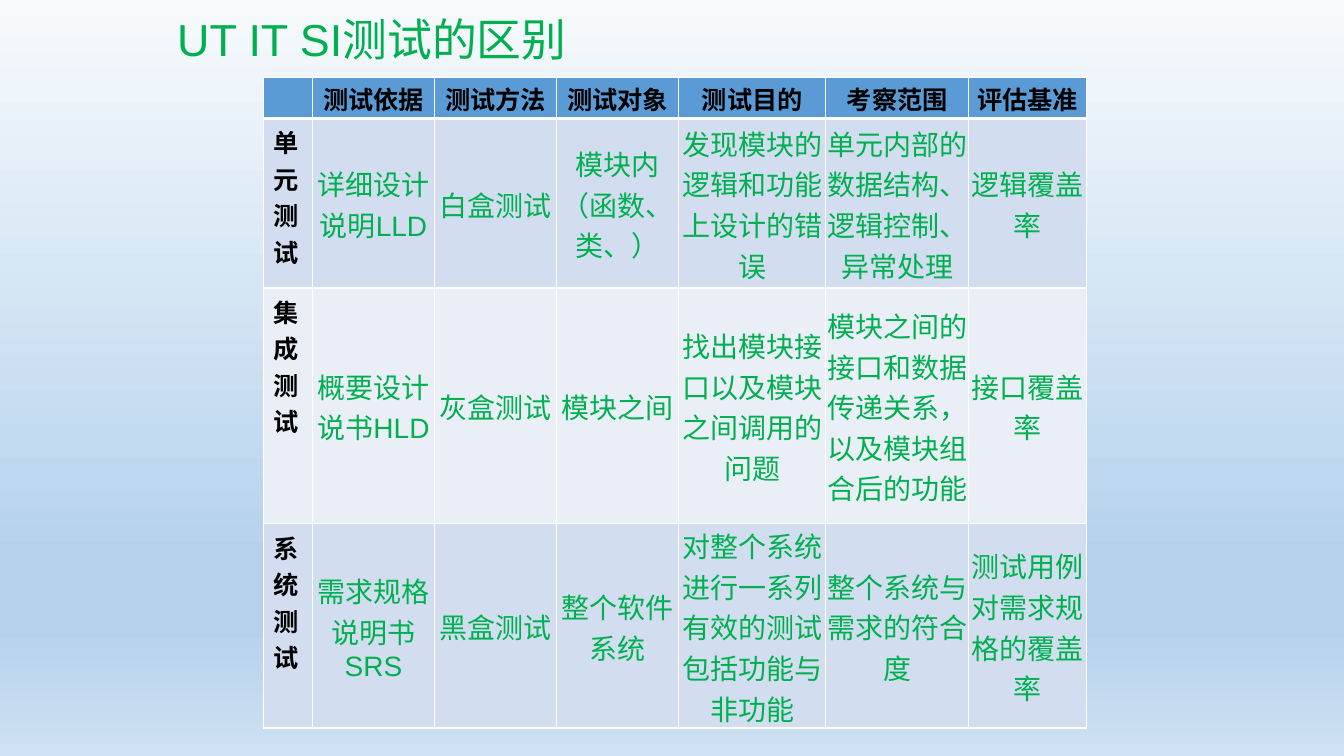
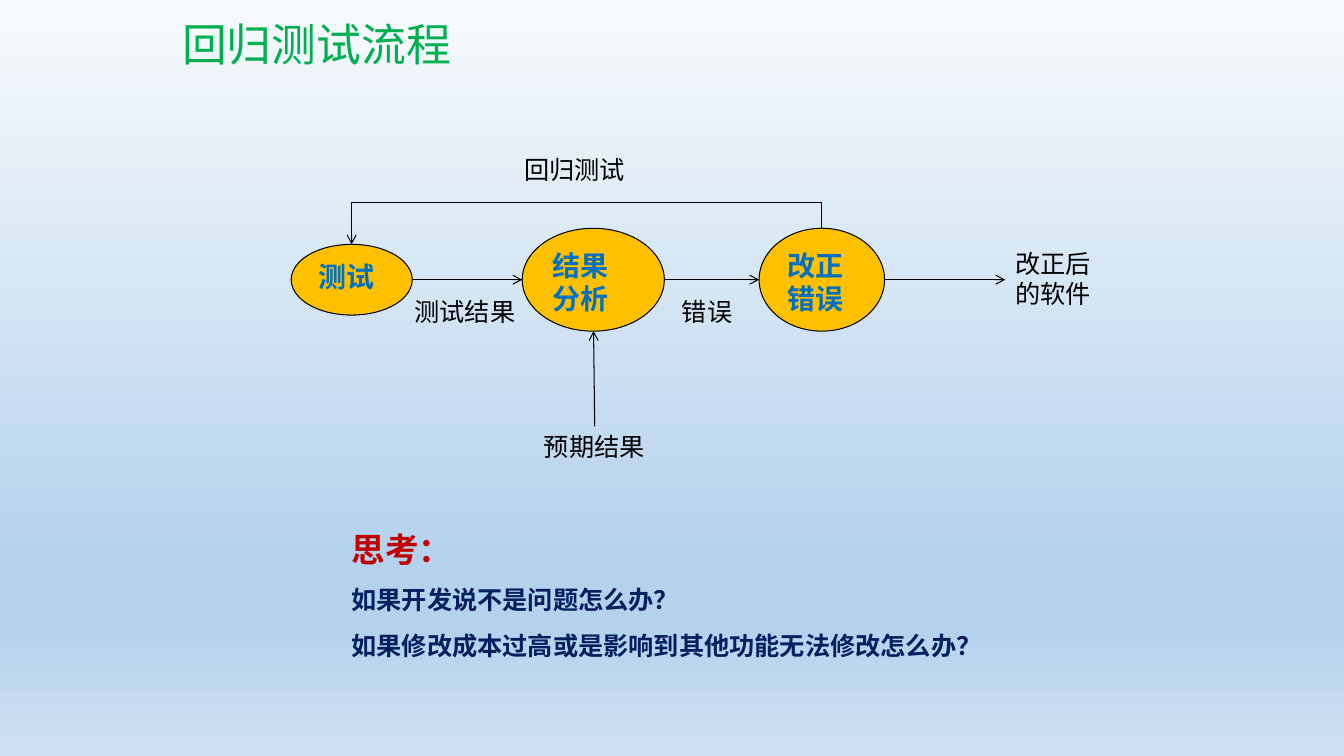
import dataclasses

import lxml.etree
import pptx
import pptx.dml.color
import pptx.enum.lang
import pptx.enum.shapes
import pptx.enum.text
import pptx.oxml.ns
import pptx.util

Pt = pptx.util.Pt
qn = pptx.oxml.ns.qn
SubElement = lxml.etree.SubElement

COLORS = {
    "green": "00B050",
    "black": "000000",
    "white": "FFFFFF",
    "blue": "0070C0",
    "navy": "002060",
    "red": "C00000",
    "amber": "FFC000",
    "header": "5B9BD5",
    "band_dark": "D2DEEF",
    "band_light": "EAEFF7",
    "sky_top": "F7FAFD",
    "sky_middle": "B5D2EC",
    "sky_bottom": "CEE1F2",
}
SKY_STOPS = [(0, "sky_top"), (74, "sky_middle"), (83, "sky_middle"), (100, "sky_bottom")]
CJK = "Noto Sans CJK SC"


@dataclasses.dataclass
class Style:
    """Look of a text span; asian is the typeface of its Chinese characters."""

    size: float
    color: str
    latin: str = "Calibri"
    asian: str = "Calibri"
    bold: bool = False


TITLE = Style(32, "green", CJK, CJK)
TITLE_LATIN = Style(32, "green", "Arial", CJK)
HEADER = Style(18, "black", CJK, CJK, True)
ROW_LABEL = Style(18, "black", "Calibri", CJK, True)
BODY = Style(20, "green", CJK, CJK)
BODY_LATIN = Style(20, "green", "Arial", CJK)
NODE = Style(20, "blue", bold=True)
LABEL = Style(18, "black")
THINK = Style(24, "red", bold=True)
QUESTION = Style(18, "navy", bold=True)

COLUMN_WIDTHS = [35.2, 87.2, 87.2, 87.2, 105.1, 102.2, 84.2]
ROW_HEIGHTS = [28.8, 121, 168.5, 121]
TABLE_ROWS = [
    ["", "测试依据", "测试方法", "测试对象", "测试目的", "考察范围", "评估基准"],
    ["单元测试", ("详细设计说明", "LLD"), "白盒测试", "模块内（函数、类、）",
     "发现模块的逻辑和功能上设计的错误",
     "单元内部的数据结构、逻辑控制、异常处理", "逻辑覆盖率"],
    ["集成测试", ("概要设计说书", "HLD"), "灰盒测试", "模块之间",
     "找出模块接口以及模块之间调用的问题",
     "模块之间的接口和数据传递关系，以及模块组合后的功能", "接口覆盖率"],
    ["系统测试", ("需求规格说明书", "SRS"), "黑盒测试", "整个软件系统",
     "对整个系统进行一系列有效的测试包括功能与非功能",
     "整个系统与需求的符合度", "测试用例对需求规格的覆盖率"],
]


def rgb(name):
    """Return the named colour."""
    return pptx.dml.color.RGBColor.from_string(COLORS[name])


def add_span(para, text, style):
    """Append a formatted run to a paragraph."""
    span = para.add_run()
    span.text = text
    font = span.font
    font.size, font.bold, font.name = Pt(style.size), style.bold, style.latin
    font.color.rgb = rgb(style.color)
    font.language_id = pptx.enum.lang.MSO_LANGUAGE_ID.SIMPLIFIED_CHINESE
    SubElement(span.font._element, qn("a:ea"), typeface=style.asian)


def add_text(page, left, top, width, height, paragraphs, wrap=False, spacing=None):
    """Add a text box; each paragraph is a list of (text, style) spans."""
    box = page.shapes.add_textbox(Pt(left), Pt(top), Pt(width), Pt(height))
    frame = box.text_frame
    frame.word_wrap = wrap
    frame.auto_size = pptx.enum.text.MSO_AUTO_SIZE.SHAPE_TO_FIT_TEXT
    for index, spans in enumerate(paragraphs):
        para = frame.add_paragraph() if index else frame.paragraphs[0]
        para.line_spacing = spacing
        for text, style in spans:
            add_span(para, text, style)


def add_title(page, left, top, spans):
    """Add the slide title."""
    add_text(page, left, top, 487.5, 46, [spans], wrap=True)


def add_label(page, left, top, width, text, height=29, wrap=False):
    """Add a plain caption of the flow."""
    add_text(page, left, top, width, height, [[(text, LABEL)]], wrap)


def add_node(page, left, top, width, height, text):
    """Add an elliptical step of the flow."""
    node = page.shapes.add_shape(
        pptx.enum.shapes.MSO_SHAPE.OVAL, Pt(left), Pt(top), Pt(width), Pt(height))
    node.shadow.inherit = False
    node.fill.solid()
    node.fill.fore_color.rgb = rgb("amber")
    node.line.color.rgb = rgb("black")
    node.line.width = Pt(0.75)
    frame = node.text_frame
    frame.word_wrap = True
    frame.vertical_anchor = pptx.enum.text.MSO_ANCHOR.TOP
    para = frame.paragraphs[0]
    para.alignment = pptx.enum.text.PP_ALIGN.LEFT
    add_span(para, text, NODE)


def add_arrow(page, start, end, kind="STRAIGHT"):
    """Add a thin connector with an open arrowhead at its end."""
    arrow = page.shapes.add_connector(
        pptx.enum.shapes.MSO_CONNECTOR[kind], *[Pt(value) for value in (*start, *end)])
    arrow.line.color.rgb = rgb("black")
    arrow.line.width = Pt(0.75)
    SubElement(arrow.line._get_or_add_ln(), qn("a:tailEnd"), type="arrow")
    SubElement(arrow._element.spPr, qn("a:effectLst"))
    return arrow


def add_return_arrow(page, start, end, rise):
    """Add an elbow arrow that climbs by rise, runs left and drops to end."""
    middle_x, middle_y = (start[0] + end[0]) / 2, (start[1] + end[1]) / 2
    half_run, half_drop = (start[0] - end[0]) / 2, (end[1] - start[1]) / 2
    arrow = add_arrow(page, (middle_x + half_drop, middle_y + half_run),
                      (middle_x - half_drop, middle_y - half_run), "ELBOW")
    properties = arrow._element.spPr
    properties.find(qn("a:xfrm")).set("rot", str(270 * 60000))
    geometry = properties.find(qn("a:prstGeom"))
    guides = geometry.find(qn("a:avLst"))
    if guides is None:
        guides = SubElement(geometry, qn("a:avLst"))
    bend = round(-rise / (2 * half_drop) * 100000)
    SubElement(guides, qn("a:gd"), name="adj1", fmla=f"val {bend}")


def set_borders(cell, row):
    """Draw white cell borders, with a thick rule under the header row."""
    for edge in "LRTB":
        width = 3 if (row, edge) in ((0, "B"), (1, "T")) else 1
        line = SubElement(cell._tc.get_or_add_tcPr(), qn(f"a:ln{edge}"), w=str(Pt(width)))
        fill = SubElement(line, qn("a:solidFill"))
        SubElement(fill, qn("a:srgbClr"), val=COLORS["white"])


def fill_cell(cell, row, column, content):
    """Format one table cell and write its content."""
    set_borders(cell, row)
    cell.fill.solid()
    band = "band_dark" if row % 2 else "band_light"
    cell.fill.fore_color.rgb = rgb(band if row else "header")
    if not content:
        return
    para = cell.text_frame.paragraphs[0]
    if column:
        cell.vertical_anchor = pptx.enum.text.MSO_ANCHOR.MIDDLE
        cell.margin_left = cell.margin_right = cell.margin_top = Pt(0.72)
        cell.margin_bottom = Pt(0)
        para.alignment = pptx.enum.text.PP_ALIGN.CENTER
    if isinstance(content, tuple):
        for text, style in zip(content, (BODY, BODY_LATIN)):
            add_span(para, text, style)
    else:
        style = HEADER if row == 0 else BODY if column else ROW_LABEL
        add_span(para, content, style)


def add_comparison_table(page, left, top):
    """Add the table that compares the test levels."""
    table = page.shapes.add_table(
        len(ROW_HEIGHTS), len(COLUMN_WIDTHS), Pt(left), Pt(top),
        Pt(sum(COLUMN_WIDTHS)), Pt(sum(ROW_HEIGHTS))).table
    for column, width in zip(table.columns, COLUMN_WIDTHS):
        column.width = Pt(width)
    for row, height in zip(table.rows, ROW_HEIGHTS):
        row.height = Pt(height)
    for row, contents in enumerate(TABLE_ROWS):
        for column, content in enumerate(contents):
            fill_cell(table.cell(row, column), row, column, content)


def set_background(master):
    """Give all slides the vertical sky gradient."""
    fill = master.background.fill
    fill.gradient()
    fill.gradient_angle = 270
    stops = master._element.find(".//" + qn("p:bg")).find(".//" + qn("a:gsLst"))
    for stop in list(stops):
        stops.remove(stop)
    for position, name in SKY_STOPS:
        stop = SubElement(stops, qn("a:gs"), pos=str(position * 1000))
        SubElement(stop, qn("a:srgbClr"), val=COLORS[name])


def build_comparison(page):
    """Build the slide on the differences between test levels."""
    add_comparison_table(page, 188, 55.5)
    add_title(page, 119.5, 5, [("UT IT SI", TITLE_LATIN), ("测试的区别", TITLE)])


def build_regression(page):
    """Build the slide on the regression test flow."""
    axis = 199.8
    for left, width, height, text in [
        (208, 86.5, 50.5, "测试"),
        (373, 101.5, 73.5, "结果分析"),
        (542.2, 89.6, 73.5, "改正错误"),
    ]:
        add_node(page, left, axis - height / 2, width, height, text)
    for start, end in [(294.5, 373), (474.5, 542.2), (631.8, 718)]:
        add_arrow(page, (start, axis), (end, axis))
    add_arrow(page, (424.8, 304.5), (424, 236.5))
    add_return_arrow(page, (587, 163), (251.2, 174.5), 18)

    add_label(page, 289, 208, 86.5, "测试结果")
    add_label(page, 480, 208, 50.5, "错误")
    add_label(page, 381.5, 304.5, 86.5, "预期结果")
    add_label(page, 367.5, 106.5, 86.5, "回归测试")
    add_label(page, 718, 173.5, 71.5, "改正后的软件", 51, True)
    add_text(page, 244, 360, 466.5, 116, [
        [("思考：", THINK)],
        [("如果开发说不是问题怎么办？", QUESTION)],
        [("如果修改成本过高或是影响到其他功能无法修改怎么办？", QUESTION)],
    ], spacing=1.5)
    add_title(page, 123, 8.5, [("回归测试流程", TITLE)])


def main():
    """Build and save the deck."""
    deck = pptx.Presentation()
    deck.slide_width, deck.slide_height = Pt(960), Pt(540)
    set_background(deck.slide_master)
    for build in (build_comparison, build_regression):
        build(deck.slides.add_slide(deck.slide_layouts[6]))
    deck.save("out.pptx")


main()
